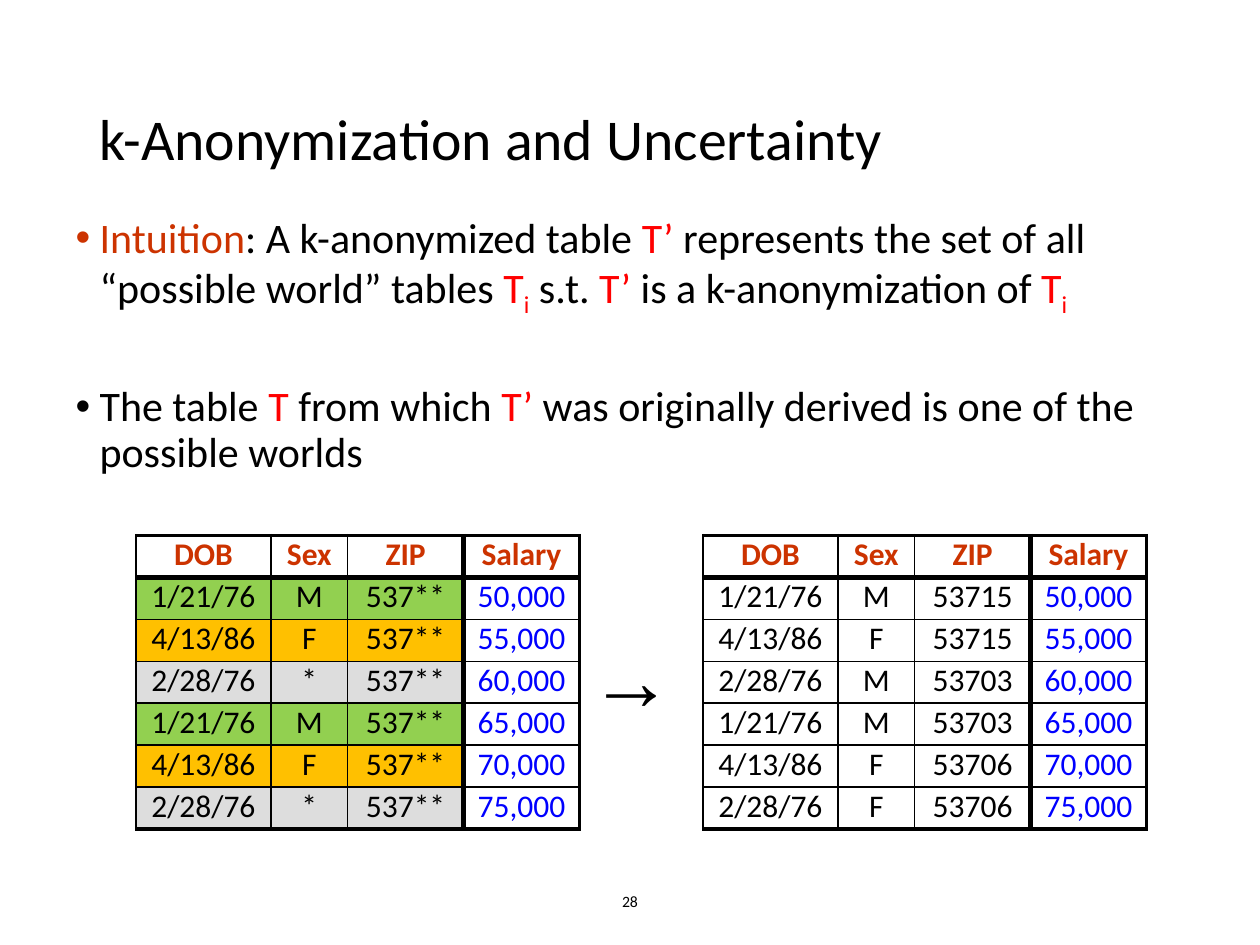
from lxml.etree import SubElement
from pptx import Presentation
from pptx.dml.color import RGBColor
from pptx.enum.text import MSO_ANCHOR as Anchor, MSO_AUTO_SIZE as AutoSize, PP_ALIGN as Align
from pptx.oxml import parse_xml
from pptx.oxml.ns import nsdecls, qn
from pptx.util import Inches, Pt

COLORS = {
    "ink": "000000", "accent": "CC3300", "symbol": "FF0000", "salary": "0000FF",
    "green": "92D050", "amber": "FFC000", "gray": "DDDDDD",
}
GRID_COLUMNS, GRID_ROWS = 100, 75
THIN, FRAME, HEAVY = 1, 2.25, 3

HEADER = ["DOB", "Sex", "ZIP", "Salary"]
BIRTHS = ["1/21/76", "4/13/86", "2/28/76"] * 2
SALARIES = ["50,000", "55,000", "60,000", "65,000", "70,000", "75,000"]
MASKED = list(zip(BIRTHS, "MF*MF*", ["537**"] * 6, SALARIES))
ORIGINAL = list(zip(
    BIRTHS, "MFMMFF", ["53715", "53715", "53703", "53703", "53706", "53706"], SALARIES))

INTUITION = [
    ("Intuition", "accent"), (": A k-anonymized table ", "ink"), ("T’", "symbol"),
    (" represents the set of all “possible world” tables ", "ink"),
    ("T", "symbol"), ("i", "symbol", True), (" s.t. ", "ink"), ("T’", "symbol"),
    (" is a k-anonymization of ", "ink"), ("T", "symbol"), ("i", "symbol", True),
]
DERIVATION = [
    ("The table ", "ink"), ("T", "symbol"), (" from which ", "ink"), ("T’", "symbol"),
    (" was originally derived is one of the possible worlds", "ink"),
]


class SlideBuilder:
    font_name = "Calibri"

    def __init__(self, deck):
        self.page = deck.slides.add_slide(deck.slide_layouts[1])
        self.column = deck.slide_width / GRID_COLUMNS
        self.row = deck.slide_height / GRID_ROWS

    def area(self, left, top, width, height):
        return (round(left * self.column), round(top * self.row),
                round(width * self.column), round(height * self.row))

    def place(self, box, area):
        box.left, box.top, box.width, box.height = self.area(*area)

    def style(self, span, size, color="ink", bold=False, name=None):
        span.font.name = name or self.font_name
        span.font.size = Pt(size)
        span.font.bold = bold
        span.font.color.rgb = RGBColor.from_string(COLORS[color])

    def title(self, text, area):
        box = self.page.shapes.title
        self.place(box, area)
        frame = box.text_frame
        frame.text = text
        frame.auto_size = AutoSize.NONE
        frame.vertical_anchor = Anchor.MIDDLE
        para = frame.paragraphs[0]
        para.alignment = Align.LEFT
        para.line_spacing = 0.9
        self.style(para.runs[0], 33)

    def bullets(self, items, area, gap):
        box = self.page.placeholders[1]
        self.place(box, area)
        frame = box.text_frame
        frame.auto_size = AutoSize.NONE
        for index, spans in enumerate(items):
            para = frame.add_paragraph() if index else frame.paragraphs[0]
            props = para._p.get_or_add_pPr()
            props.set("marL", str(Inches(0.19)))
            props.set("indent", str(Inches(-0.19)))
            SubElement(props, qn("a:buFont"), typeface="Arial")
            SubElement(props, qn("a:buChar"), char="•")
            para.line_spacing = 0.9
            para.space_before = Pt(gap if index else 0)
            for text, color, *subscript in spans:
                span = para.add_run()
                span.text = text
                self.style(span, 24, color)
                if subscript:
                    span.font._element.set("baseline", "-25000")

    def label(self, text, area, size, align=Align.LEFT, anchor=Anchor.TOP, wrap=True, name=None):
        box = self.page.shapes.add_textbox(*self.area(*area))
        frame = box.text_frame
        frame.text = text
        frame.word_wrap = wrap
        frame.vertical_anchor = anchor
        para = frame.paragraphs[0]
        para.alignment = align
        self.style(para.runs[0], size, name=name)

    def borders(self, cell, **widths):
        props = cell._tc.get_or_add_tcPr()
        for index, (side, width) in enumerate(widths.items()):
            props.insert(index, parse_xml(
                f'<a:ln{side} {nsdecls("a")} w="{Pt(width)}"><a:solidFill>'
                f'<a:srgbClr val="{COLORS["ink"]}"/></a:solidFill></a:ln{side}>'))

    def table(self, records, area, fills=()):
        rows = [HEADER, *records]
        last_row, last_column = len(rows) - 1, len(HEADER) - 1
        table = self.page.shapes.add_table(
            len(rows), len(HEADER), *self.area(*area)).table
        table.first_row = table.horz_banding = False
        for column, width in zip(table.columns, (10.7, 6.1, 9.2, 9.2)):
            column.width = round(width * self.column)
        for r, record in enumerate(rows):
            for c, text in enumerate(record):
                cell = table.cell(r, c)
                cell.text = text
                cell.margin_left = cell.margin_right = Inches(0.05)
                cell.margin_top = cell.margin_bottom = 0
                para = cell.text_frame.paragraphs[0]
                para.alignment = Align.CENTER
                color = "accent" if r == 0 else "salary" if c == last_column else "ink"
                self.style(para.runs[0], 18, color, bold=r == 0)
                if fills and r > 0 and c < last_column:
                    cell.fill.solid()
                    fill = COLORS[fills[(r - 1) % len(fills)]]
                    cell.fill.fore_color.rgb = RGBColor.from_string(fill)
                else:
                    cell.fill.background()
                self.borders(
                    cell,
                    L=HEAVY if c == last_column else THIN,
                    R={last_column - 1: HEAVY, last_column: FRAME}.get(c, THIN),
                    T={0: FRAME, 1: HEAVY}.get(r, THIN),
                    B={0: HEAVY, last_row: FRAME}.get(r, THIN))


def main():
    deck = Presentation()
    deck.slide_width, deck.slide_height = Inches(10), Inches(7.5)
    slide = SlideBuilder(deck)
    slide.title("k-Anonymization and Uncertainty", (6.9, 4, 86.2, 14.5))
    slide.bullets([INTUITION, DERIVATION], (5, 16.7, 95, 24.2), gap=41)
    slide.table(MASKED, (10.8, 42.5, 35.1, 23.3), ("green", "amber", "gray"))
    slide.label("→", (45.8, 49.2, 8.7, 9), 48, wrap=False, name="Arial")
    slide.table(ORIGINAL, (55.8, 42.5, 35.1, 23.3))
    slide.label("28", (33.1, 69.5, 33.8, 4), 9, Align.CENTER, Anchor.MIDDLE)
    deck.save("out.pptx")


if __name__ == "__main__":
    main()
